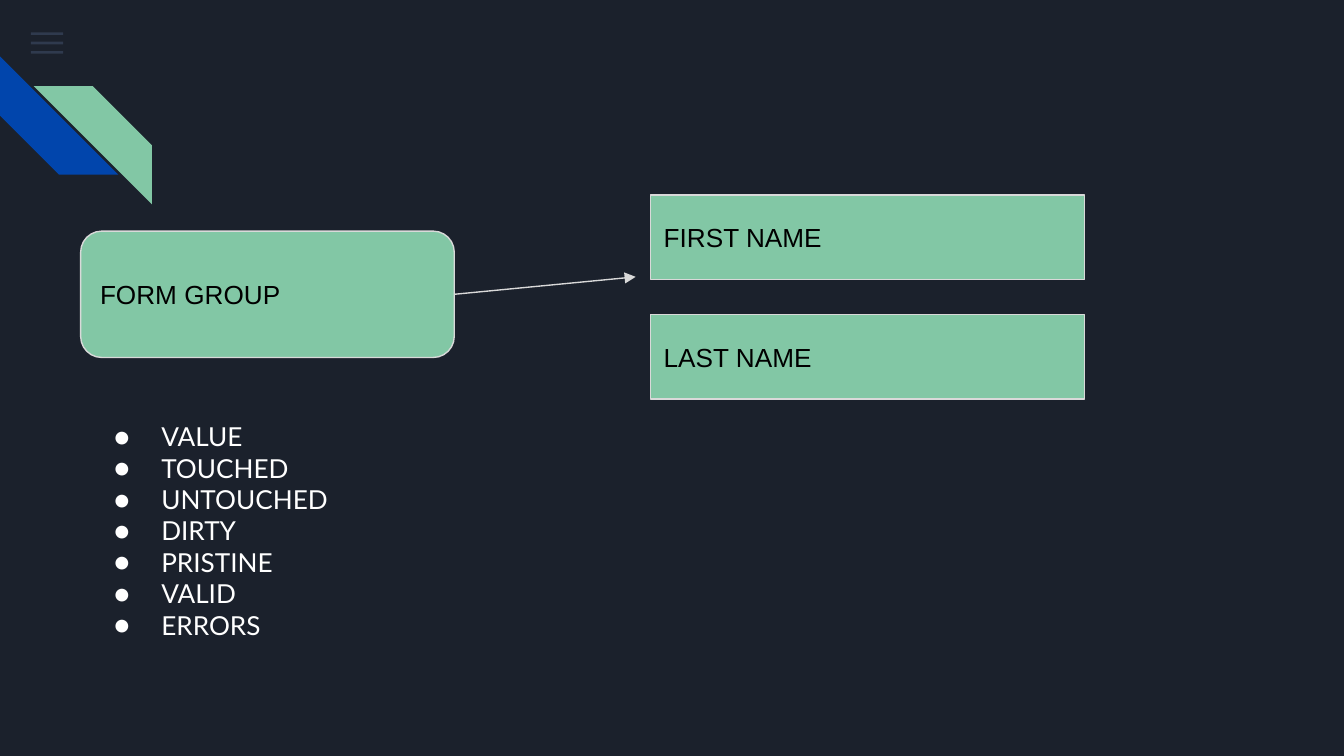
"""Build the form group slide with its fields and state list."""
from dataclasses import dataclass

from lxml.etree import SubElement
from pptx import Presentation
from pptx.dml.color import RGBColor
from pptx.enum.shapes import MSO_CONNECTOR, MSO_SHAPE
from pptx.enum.text import MSO_ANCHOR, MSO_AUTO_SIZE, PP_ALIGN
from pptx.oxml.ns import qn
from pptx.util import Inches, Pt

GREEN, BLUE, SLATE = "82C7A5", "0145AC", "55688B"
DARK, GREY, WHITE, BLACK = "1B212C", "D9D9D9", "FFFFFF", "000000"
STATES = ["VALUE", "TOUCHED", "UNTOUCHED", "DIRTY", "PRISTINE", "VALID", "ERRORS"]


@dataclass
class Box:
    """A filled shape placed in inches."""
    x: float
    y: float
    w: float
    h: float
    kind: MSO_SHAPE = MSO_SHAPE.RECTANGLE
    fill: str = GREEN
    text: str = ""
    rotation: float = 0


BARS = [Box(0.23, 0.24 + 0.07 * i, 0.24, 0.02, fill=SLATE) for i in range(3)]
STRIPES = [
    Box(0, 0.42, 0.88, 0.88, MSO_SHAPE.DIAGONAL_STRIPE, BLUE, rotation=270),
    Box(0.25, 0.64, 0.88, 0.88, MSO_SHAPE.DIAGONAL_STRIPE, rotation=90),
]
NODES = [
    Box(4.84, 1.45, 3.23, 0.63, text="FIRST NAME"),
    Box(0.6, 1.72, 2.78, 0.94, MSO_SHAPE.FLOWCHART_ALTERNATE_PROCESS, text="FORM GROUP"),
    Box(4.84, 2.34, 3.23, 0.63, text="LAST NAME"),
]


def paint(fmt, color: str) -> None:
    """Give a fill a solid hex colour."""
    fmt.solid()
    fmt.fore_color.rgb = RGBColor.from_string(color)


def add_bullet(p, color: str, font: str) -> None:
    """Give a paragraph a hanging round bullet."""
    pPr = p._p.get_or_add_pPr()
    pPr.set("marL", str(Inches(0.5)))
    pPr.set("indent", str(Inches(-0.35)))
    SubElement(SubElement(pPr, qn("a:buClr")), qn("a:srgbClr"), val=color)
    SubElement(pPr, qn("a:buFont"), typeface=font)
    SubElement(pPr, qn("a:buChar"), char="●")


def write(sp, text: str, *, font="Arial", size=14, color=BLACK,
          anchor=MSO_ANCHOR.MIDDLE, bullets=False) -> None:
    """Fill a shape with left-aligned lines of text."""
    tf = sp.text_frame
    tf.word_wrap = True
    tf.auto_size = MSO_AUTO_SIZE.NONE
    tf.vertical_anchor = anchor
    tf.margin_left = tf.margin_right = tf.margin_top = tf.margin_bottom = Inches(0.1)
    tf.text = text
    for p in tf.paragraphs:
        p.alignment = PP_ALIGN.LEFT
        p.space_before = Pt(0)
        if bullets:
            add_bullet(p, color, font)
        for r in p.runs:
            r.font.name, r.font.size = font, Pt(size)
            r.font.color.rgb = RGBColor.from_string(color)


def add_box(s, box: Box):
    """Draw a box, outlined when it carries text."""
    sp = s.shapes.add_shape(box.kind, Inches(box.x), Inches(box.y), Inches(box.w), Inches(box.h))
    sp.shadow.inherit = False
    sp.rotation = box.rotation
    paint(sp.fill, box.fill)
    if box.text:
        paint(sp.line.fill, GREY)
        sp.line.width = Pt(0.75)
        write(sp, box.text)
    else:
        sp.line.fill.background()
    return sp


def add_arrow(s, x1: float, y1: float, x2: float, y2: float) -> None:
    """Draw a thin line with an arrowhead at its end."""
    c = s.shapes.add_connector(
        MSO_CONNECTOR.STRAIGHT, Inches(x1), Inches(y1), Inches(x2), Inches(y2))
    paint(c.line.fill, GREY)
    c.line.width = Pt(0.75)
    SubElement(c.line._get_or_add_ln(), qn("a:tailEnd"), type="triangle", w="med", len="med")
    SubElement(c._element.spPr, qn("a:effectLst"))


def main() -> None:
    """Build and save the slide."""
    prs = Presentation()
    prs.slide_width = Inches(10)
    prs.slide_height = prs.slide_width * 9 // 16
    s = prs.slides.add_slide(prs.slide_layouts[1])
    paint(s.background.fill, DARK)
    title, body = s.placeholders
    title._element.getparent().remove(title._element)

    for bar in BARS:
        sp = add_box(s, bar)
        SubElement(sp._element.spPr.find(".//" + qn("a:srgbClr")), qn("a:alpha"), val="36000")
    for box in STRIPES + NODES:
        add_box(s, box)
    add_arrow(s, 3.38, 2.19, 4.73, 2.06)

    body.left, body.top, body.width, body.height = map(Inches, (0.6, 3.03, 3.5, 2.19))
    write(body, "\n".join(STATES), font="Lato", color=WHITE,
          anchor=MSO_ANCHOR.TOP, bullets=True)
    prs.save("out.pptx")


if __name__ == "__main__":
    main()
